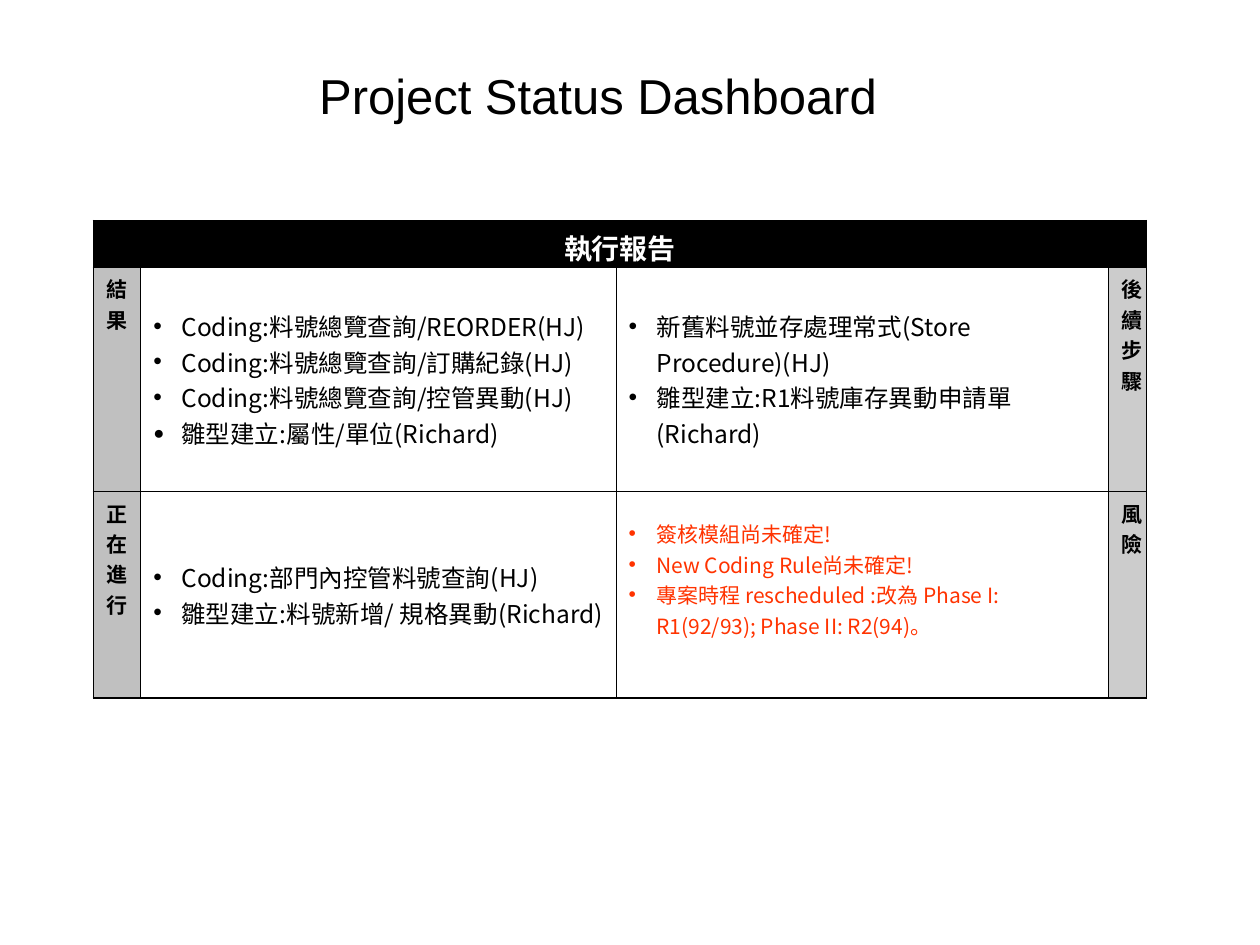
from dataclasses import dataclass

from lxml.etree import SubElement
from pptx import Presentation
from pptx.dml.color import RGBColor
from pptx.enum.text import MSO_ANCHOR as Anchor, PP_ALIGN as Align
from pptx.oxml.ns import qn
from pptx.util import Pt


@dataclass(frozen=True)
class Theme:
    black: str = "000000"
    white: str = "FFFFFF"
    left_label: str = "C0C0C0"
    right_label: str = "CCCCCC"
    alert: str = "FF3300"
    title_font: str = "Arial"
    body_font: str = "Noto Sans CJK TC"
    title_size: int = 28
    header_size: int = 16
    body_size: int = 14
    small_size: int = 12
    outer_line: float = 0.96
    inner_line: float = 0.45
    bullet_indent: int = 16


THEME = Theme()
ROUND_BULLET = ("•", 100)
LARGE_BULLET = ("●", 75)

COLUMN_WIDTHS = (27.2, 271.5, 281.5, 21.7)
ROW_HEIGHTS = (26.6, 128.2, 118)

RESULTS = (
    "Coding:料號總覽查詢/REORDER(HJ)",
    "Coding:料號總覽查詢/訂購紀錄(HJ)",
    "Coding:料號總覽查詢/控管異動(HJ)",
    "雛型建立:屬性/單位(Richard)",
)
NEXT_STEPS = (
    "新舊料號並存處理常式(Store Procedure)(HJ)",
    "雛型建立:R1料號庫存異動申請單(Richard)",
)
IN_PROGRESS = (
    "Coding:部門內控管料號查詢(HJ)",
    "雛型建立:料號新增/ 規格異動(Richard)",
)
RISKS = (
    "簽核模組尚未確定!",
    "New Coding Rule尚未確定!",
    "專案時程 rescheduled :改為 Phase I: R1(92/93); Phase II: R2(94)。",
)


def add_run(paragraph, text, size, color, font_name=THEME.body_font, bold=False):
    run = paragraph.add_run()
    run.text = text
    font = run.font
    font.name, font.size, font.bold = font_name, Pt(size), bold
    font.color.rgb = RGBColor.from_string(color)
    east_asian = SubElement(run._r.get_or_add_rPr(), qn("a:ea"))
    east_asian.set("typeface", font_name)


def add_bullet(paragraph, bullet, color):
    character, percent = bullet
    properties = paragraph._p.get_or_add_pPr()
    properties.set("marL", str(Pt(THEME.bullet_indent)))
    properties.set("indent", str(-Pt(THEME.bullet_indent)))
    bullet_color = SubElement(properties, qn("a:buClr"))
    SubElement(bullet_color, qn("a:srgbClr")).set("val", color)
    SubElement(properties, qn("a:buSzPct")).set("val", str(percent * 1000))
    SubElement(properties, qn("a:buFont")).set("typeface", THEME.title_font)
    SubElement(properties, qn("a:buChar")).set("char", character)


def add_title(slide, text):
    box = slide.shapes.add_textbox(Pt(36), Pt(31.7), Pt(619.2), Pt(45.4))
    frame = box.text_frame
    frame.word_wrap = True
    frame.vertical_anchor = Anchor.MIDDLE
    paragraph = frame.paragraphs[0]
    paragraph.alignment = Align.CENTER
    add_run(paragraph, text, THEME.title_size, THEME.black, THEME.title_font)


def add_border(cell, side, width):
    line = SubElement(cell._tc.get_or_add_tcPr(), qn(f"a:ln{side}"), w=str(Pt(width)))
    fill = SubElement(line, qn("a:solidFill"))
    SubElement(fill, qn("a:srgbClr")).set("val", THEME.black)


def style_grid(table):
    last_row, last_column = len(ROW_HEIGHTS) - 1, len(COLUMN_WIDTHS) - 1
    for row in range(last_row + 1):
        for column in range(last_column + 1):
            cell = table.cell(row, column)
            on_edge = {"L": column == 0, "R": column == last_column,
                       "T": row == 0, "B": row == last_row}
            for side, outer in on_edge.items():
                add_border(cell, side, THEME.outer_line if outer else THEME.inner_line)
            cell.fill.background()


def add_status_table(slide):
    frame = slide.shapes.add_table(len(ROW_HEIGHTS), len(COLUMN_WIDTHS), Pt(53.3), Pt(126),
                                   Pt(sum(COLUMN_WIDTHS)), Pt(sum(ROW_HEIGHTS)))
    table = frame.table
    table.first_row = table.horz_banding = False
    for column, width in zip(table.columns, COLUMN_WIDTHS):
        column.width = Pt(width)
    for row, height in zip(table.rows, ROW_HEIGHTS):
        row.height = Pt(height)
    style_grid(table)
    table.cell(0, 0).merge(table.cell(0, len(COLUMN_WIDTHS) - 1))
    return table


def fill_label(cell, text, background, size=THEME.small_size, color=THEME.black,
               alignment=Align.CENTER, anchor=Anchor.TOP):
    cell.fill.solid()
    cell.fill.fore_color.rgb = RGBColor.from_string(background)
    cell.vertical_anchor = anchor
    paragraph = cell.text_frame.paragraphs[0]
    paragraph.alignment = alignment
    add_run(paragraph, text, size, color, bold=True)


def fill_list(cell, items, size=THEME.body_size, color=THEME.black, last_bullet=ROUND_BULLET):
    cell.vertical_anchor = Anchor.MIDDLE
    frame = cell.text_frame
    for index, item in enumerate(items):
        paragraph = frame.add_paragraph() if index else frame.paragraphs[0]
        is_last = index == len(items) - 1
        add_bullet(paragraph, last_bullet if is_last else ROUND_BULLET, color)
        add_run(paragraph, item, size, color)


def main():
    presentation = Presentation()
    presentation.slide_width, presentation.slide_height = Pt(720), Pt(540)
    slide = presentation.slides.add_slide(presentation.slide_layouts[6])

    # Title; its closing space is part of the centred line
    add_title(slide, "Project Status Dashboard ")

    # Table header
    table = add_status_table(slide)
    fill_label(table.cell(0, 0), "執行報告", THEME.black, THEME.header_size, THEME.white,
               anchor=Anchor.MIDDLE)

    # Labels at both sides
    for row, (left, right) in enumerate((("結果", "後續步驟"), ("正在進行", "風險")), start=1):
        fill_label(table.cell(row, 0), left, THEME.left_label)
        fill_label(table.cell(row, 3), right, THEME.right_label, alignment=Align.LEFT)

    # Four quadrants
    fill_list(table.cell(1, 1), RESULTS, last_bullet=LARGE_BULLET)
    fill_list(table.cell(1, 2), NEXT_STEPS)
    fill_list(table.cell(2, 1), IN_PROGRESS)
    risk_cell = table.cell(2, 2)
    fill_list(risk_cell, RISKS, THEME.small_size, THEME.alert)
    risk_cell.margin_bottom = Pt(21)

    presentation.save("out.pptx")


if __name__ == "__main__":
    main()
